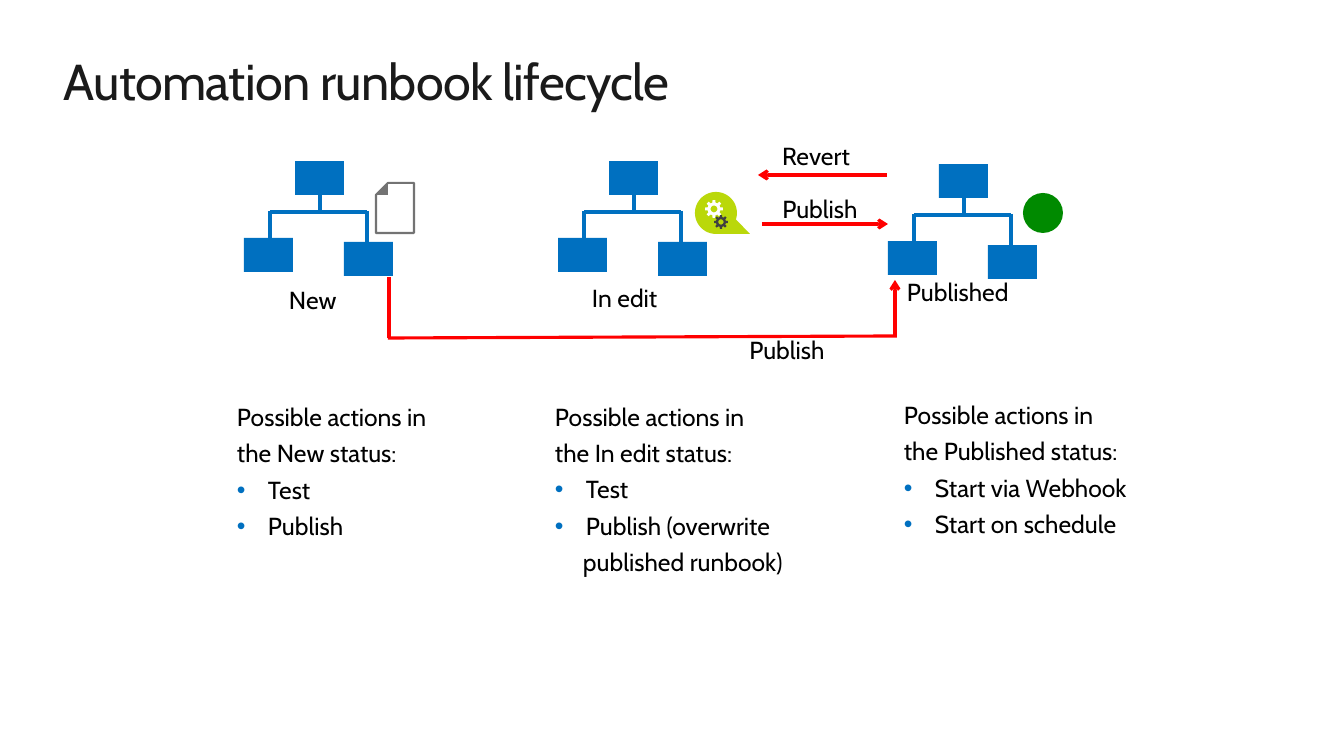
import math

import pptx
import pptx.dml.color
import pptx.enum.shapes
import pptx.enum.text
import pptx.oxml.ns
import pptx.util
from lxml import etree

RGBColor = pptx.dml.color.RGBColor
BLUE = RGBColor(0x00, 0x70, 0xC0)
RED = RGBColor(0xFF, 0x00, 0x00)
WHITE = RGBColor(0xFF, 0xFF, 0xFF)
BLACK = RGBColor(0x00, 0x00, 0x00)
INK = RGBColor(0x1A, 0x1A, 0x1A)
GREY = RGBColor(0x73, 0x73, 0x73)
CHARCOAL = RGBColor(0x40, 0x40, 0x41)
LIME = RGBColor(0xBA, 0xD8, 0x0A)
GREEN = RGBColor(0x00, 0x8A, 0x00)

FONT = "Cabin"
BODY_SIZE = 17.6
INSET = 10
LABEL_HEIGHT = 45
NODE_WIDTH, NODE_HEIGHT = 49, 34
SHAPE = pptx.enum.shapes.MSO_SHAPE
LEFT = pptx.enum.text.PP_ALIGN.LEFT
CENTER = pptx.enum.text.PP_ALIGN.CENTER
MIDDLE = pptx.enum.text.MSO_ANCHOR.MIDDLE
TOP = pptx.enum.text.MSO_ANCHOR.TOP


def px(length):
    return pptx.util.Emu(round(length * 914400 / 100.8))


def add_element(parent, tag, **attributes):
    element = etree.SubElement(parent, pptx.oxml.ns.qn(tag))
    for key, value in attributes.items():
        element.set(key, str(value))
    return element


def add_text(slide, box, lines, size=BODY_SIZE, color=BLACK, align=LEFT,
             anchor=MIDDLE, inset=INSET, line_spacing=1.0, gap=0, tracking=0):
    frame = slide.shapes.add_textbox(*map(px, box)).text_frame
    frame.word_wrap = True
    frame.vertical_anchor = anchor
    frame.margin_left = frame.margin_right = px(inset)
    frame.margin_top = frame.margin_bottom = 0
    for index, (line, margin, bullet) in enumerate(lines):
        paragraph = frame.paragraphs[0] if index == 0 else frame.add_paragraph()
        properties = paragraph._p.get_or_add_pPr()
        if margin:
            properties.set("marL", str(px(margin)))
        if bullet:
            properties.set("indent", str(-px(margin)))
            bullet_color = add_element(properties, "a:buClr")
            add_element(bullet_color, "a:srgbClr", val=BLUE)
            add_element(properties, "a:buFont", typeface="Arial")
            add_element(properties, "a:buChar", char="•")
        paragraph.alignment = align
        paragraph.line_spacing = line_spacing
        if index:
            paragraph.space_before = pptx.util.Pt(gap)
        run = paragraph.add_run()
        run.text = line
        run.font.name = FONT
        run.font.size = pptx.util.Pt(size)
        run.font.color.rgb = color
        if tracking:
            run._r.get_or_add_rPr().set("spc", str(tracking))


def add_label(slide, left, top, width, label, align=LEFT):
    add_text(slide, (left, top, width, LABEL_HEIGHT), [(label, 0, False)], align=align)


def add_line(slide, start, end, color, arrow=False):
    line = slide.shapes.add_connector(
        pptx.enum.shapes.MSO_CONNECTOR.STRAIGHT, *map(px, (*start, *end)))
    line.line.color.rgb = color
    line.line.width = pptx.util.Pt(2.25)
    if arrow:
        add_element(line.line._get_or_add_ln(), "a:tailEnd", type="arrow")
    add_element(line._element.spPr, "a:effectLst")


def paint(shape, fill, outline=None):
    shape.shadow.inherit = False
    shape.fill.solid()
    shape.fill.fore_color.rgb = fill
    if outline is None:
        shape.line.fill.background()
    else:
        shape.line.color.rgb = outline
        shape.line.width = pptx.util.Pt(1.5)


def add_outline(slide, contours, fill, outline=None):
    first, *others = [[(px(x), px(y)) for x, y in contour] for contour in contours]
    builder = slide.shapes.build_freeform(*first[0], scale=1.0)
    builder.add_line_segments(first[1:], close=True)
    for contour in others:
        builder.move_to(*contour[0])
        builder.add_line_segments(contour[1:], close=True)
    paint(builder.convert_to_shape(), fill, outline)


def polar(x, y, radius, degrees):
    angle = math.radians(degrees)
    return x + radius * math.cos(angle), y + radius * math.sin(angle)


def draw_tree(slide, left, top):
    bar = top + 51
    left_x, stem_x, right_x = left + 26, left + 76, left + 123
    for start, end in [((right_x, bar - 1), (right_x, top + 84)),
                       ((left_x, bar - 1), (left_x, top + 84)),
                       ((stem_x, top + 18), (stem_x, bar + 1)),
                       ((right_x, bar), (left_x, bar))]:
        add_line(slide, start, end, BLUE)
    for dx, dy in [(51, 0), (100, 81), (0, 77)]:
        node = slide.shapes.add_shape(SHAPE.RECTANGLE, *map(
            px, (left + dx, top + dy, NODE_WIDTH, NODE_HEIGHT)))
        paint(node, BLUE)


def draw_page_icon(slide, left, top):
    right, bottom, fold = left + 38, top + 50, 12
    add_outline(slide, [[(right, bottom), (left, bottom), (left, top + fold),
                         (left + fold, top), (right, top)]], WHITE, GREY)
    add_outline(slide, [[(left + fold, top + fold), (left, top + fold),
                         (left + fold, top)]], GREY)


def draw_gear(slide, x, y, radius, color):
    teeth = 8
    step = 360 / teeth
    rim = [polar(x, y, radius * reach, step * tooth + turn)
           for tooth in range(teeth)
           for turn, reach in [(-9, 1), (9, 1), (14, 0.72), (31, 0.72)]]
    hole = [polar(x, y, radius * 0.38, -angle) for angle in range(0, 360, 15)]
    add_outline(slide, [rim, hole], color)


def draw_edit_icon(slide, left, top):
    radius = 21
    x, y = left + radius, top + radius
    bubble = [polar(x, y, radius, angle) for angle in range(90, 384, 6)]
    add_outline(slide, [bubble + [(left + 55, top + 2 * radius)]], LIME)
    draw_gear(slide, x - 2, y - 4, 9, WHITE)
    draw_gear(slide, x + 5, y + 9, 7, CHARCOAL)


def draw_published_icon(slide, left, top):
    dot = slide.shapes.add_shape(SHAPE.OVAL, *map(px, (left, top, 40, 40)))
    paint(dot, GREEN)


def draw_transitions(slide):
    for start, end, arrow in [((887, 175), (758, 175), True),
                              ((762, 224), (888, 224), True),
                              ((389, 277), (389, 338), False),
                              ((388, 338), (897, 336), False),
                              ((895, 335), (895, 280), True)]:
        add_line(slide, start, end, RED, arrow)
    for left, top, label in [(709, 133, "Revert"), (713, 186, "Publish"),
                             (680, 327, "Publish")]:
        add_label(slide, left, top, 214, label, CENTER)


def draw_actions(slide, left, top, status, actions, continuation=None):
    lines = [("Possible actions in", 0, False), (f"the {status} status:", 0, False)]
    lines += [(action, 31, True) for action in actions]
    if continuation:
        lines.append((continuation, 28, False))
    add_text(slide, (left, top, 270, 202), lines, line_spacing=0.9, gap=7)


def draw_lifecycle(slide):
    add_text(slide, (64, 50, 1215, 61), [("Automation runbook lifecycle", 0, False)],
             size=36, color=INK, anchor=TOP, inset=0, tracking=-50)
    for left, top, label_left, label_top, status in [
            (244, 161, 279, 277, "New"), (558, 161, 582, 275, "In edit"),
            (888, 164, 897, 269, "Published")]:
        draw_tree(slide, left, top)
        add_label(slide, label_left, label_top, 188, status)
    draw_page_icon(slide, 376, 183)
    draw_edit_icon(slide, 695, 192)
    draw_published_icon(slide, 1023, 193)
    draw_transitions(slide)
    draw_actions(slide, 227, 372, "New", ["Test", "Publish"])
    draw_actions(slide, 545, 390, "In edit", ["Test", "Publish (overwrite"],
                 "published runbook)")
    draw_actions(slide, 894, 370, "Published", ["Start via Webhook", "Start on schedule"])


def main():
    deck = pptx.Presentation()
    deck.slide_width, deck.slide_height = px(1344), px(756)
    draw_lifecycle(deck.slides.add_slide(deck.slide_layouts[6]))
    deck.save("out.pptx")


if __name__ == "__main__":
    main()
